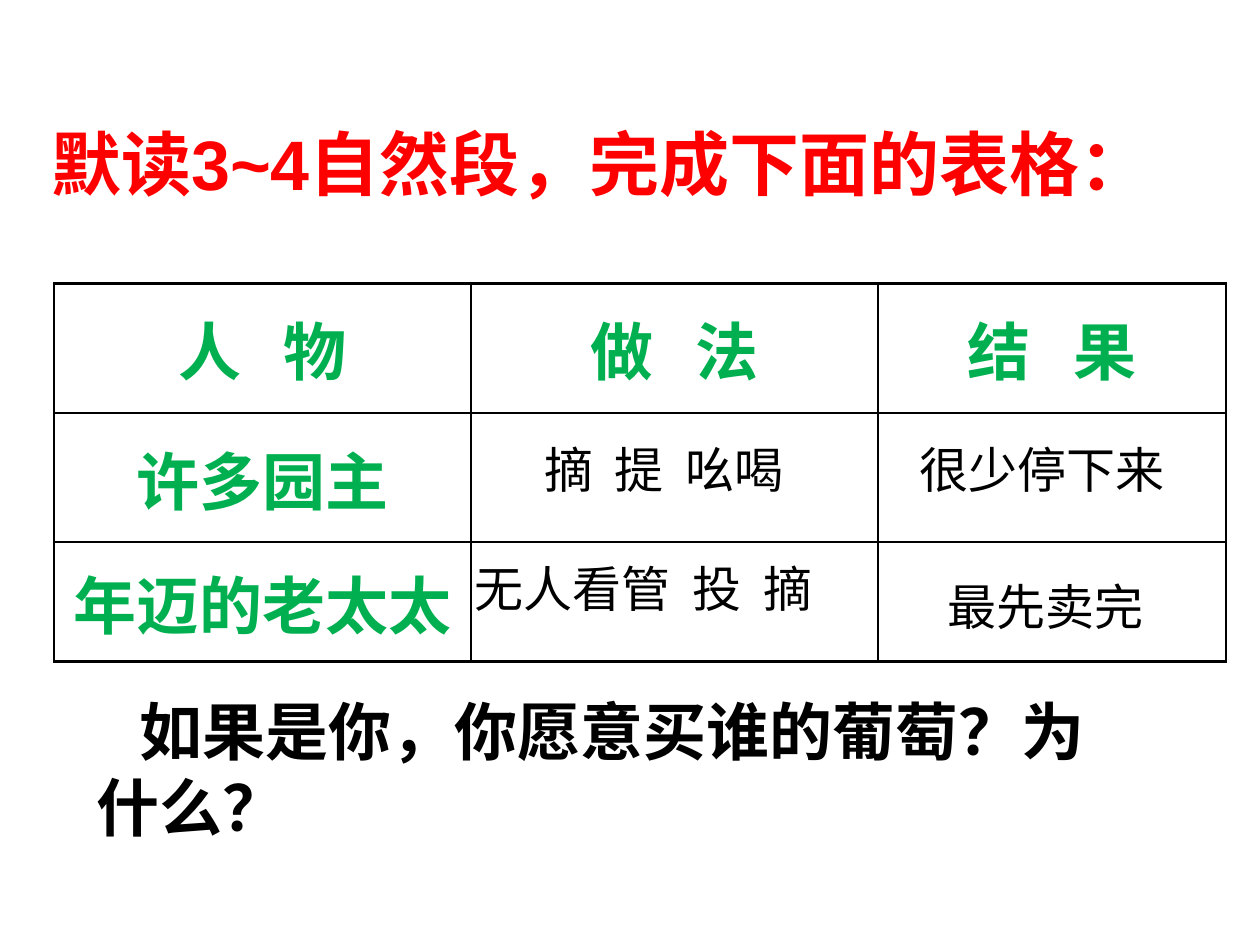
"""Build a reading-task slide with a table to fill in and a closing question."""
from lxml import etree
from pptx import Presentation
from pptx.dml.color import RGBColor
from pptx.enum.text import MSO_ANCHOR, PP_ALIGN
from pptx.oxml.ns import qn
from pptx.util import Inches, Pt

CENTER, LEFT = PP_ALIGN.CENTER, PP_ALIGN.LEFT
MIDDLE = MSO_ANCHOR.MIDDLE
RED = RGBColor(0xFF, 0x00, 0x00)
GREEN = RGBColor(0x00, 0xB0, 0x50)
BLACK = RGBColor(0x00, 0x00, 0x00)
CJK_FONT = "Noto Sans CJK SC"
BORDER_PT = 1.47

TABLE_ROWS = [
    ["人 物", "做 法", "结 果"],
    ["许多园主", "", ""],
    ["年迈的老太太", "", ""],
]
TABLE_AT = (0.43, 2.25)
COLUMN_WIDTHS = [3.31, 3.23, 2.76]
ROW_HEIGHTS = [1.03, 1.02, 0.95]
HEADING_GAP_PT = 16

TITLE = ("默读3~4自然段，完成下面的表格：", (0.31, 0.91, 9.4, 0.77), 40, "Arial", RED, True)
QUESTION = ("如果是你，你愿意买谁的葡萄？为什么？", (0.67, 5.45, 8.51, 1.3), 36, "DejaVu Sans", BLACK, True)
QUESTION_INDENT = 0.34
ANSWER_GAP_PT = 6.3
ANSWERS = [
    ("摘 提 吆喝", (4.22, 3.44, 2.6, 0.57), CJK_FONT),
    ("很少停下来", (7.2, 3.44, 2.21, 0.57), "DejaVu Sans"),
    ("无人看管 投 摘", (3.67, 4.38, 3.3, 0.57), CJK_FONT),
    ("最先卖完", (7.42, 4.53, 1.75, 0.57), "DejaVu Sans"),
]


def add_run(paragraph, words, size, font_name, color, bold, spacing=0):
    run = paragraph.add_run()
    run.text = words
    run.font.size = Pt(size)
    run.font.name = font_name
    run.font.bold = bold
    run.font.color.rgb = color
    properties = run._r.get_or_add_rPr()
    etree.SubElement(properties, qn("a:ea")).set("typeface", CJK_FONT)
    if spacing:
        properties.set("spc", str(round(spacing * 100)))


def write(paragraph, words, size, font_name, color, bold, gap=0):
    for index, part in enumerate(words.split(" ")):
        if index:
            add_run(paragraph, " ", size, font_name, color, bold, gap)
        add_run(paragraph, part, size, font_name, color, bold)


def add_text(slide, words, box, size, font_name, color, bold, gap=0):
    frame = slide.shapes.add_textbox(*map(Inches, box)).text_frame
    frame.word_wrap = True
    paragraph = frame.paragraphs[0]
    paragraph.alignment = LEFT
    write(paragraph, words, size, font_name, color, bold, gap)
    return paragraph


def set_borders(cell):
    properties = cell._tc.get_or_add_tcPr()
    for position, side in enumerate(("lnL", "lnR", "lnT", "lnB")):
        line = etree.Element(qn(f"a:{side}"), w=str(Pt(BORDER_PT)))
        fill = etree.SubElement(line, qn("a:solidFill"))
        etree.SubElement(fill, qn("a:srgbClr")).set("val", str(BLACK))
        properties.insert(position, line)


def add_task_table(slide):
    size = (sum(COLUMN_WIDTHS), sum(ROW_HEIGHTS))
    table = slide.shapes.add_table(
        len(ROW_HEIGHTS), len(COLUMN_WIDTHS), *map(Inches, TABLE_AT + size)
    ).table
    table.first_row = table.horz_banding = False
    for column, width in zip(table.columns, COLUMN_WIDTHS):
        column.width = Inches(width)
    for row, height, texts in zip(table.rows, ROW_HEIGHTS, TABLE_ROWS):
        row.height = Inches(height)
        for cell, words in zip(row.cells, texts):
            cell.fill.background()
            set_borders(cell)
            cell.vertical_anchor = MIDDLE
            if words:
                paragraph = cell.text_frame.paragraphs[0]
                paragraph.alignment = CENTER
                write(paragraph, words, 36, "Lato", GREEN, True, HEADING_GAP_PT)


def main():
    deck = Presentation()
    deck.slide_width, deck.slide_height = Inches(10), Inches(7.5)
    slide = deck.slides.add_slide(deck.slide_layouts[6])
    add_task_table(slide)
    add_text(slide, *TITLE)
    question = add_text(slide, *QUESTION)
    question._p.get_or_add_pPr().set("indent", str(Inches(QUESTION_INDENT)))
    for words, box, font_name in ANSWERS:
        add_text(slide, words, box, 28, font_name, BLACK, False, ANSWER_GAP_PT)
    deck.save("out.pptx")


if __name__ == "__main__":
    main()
